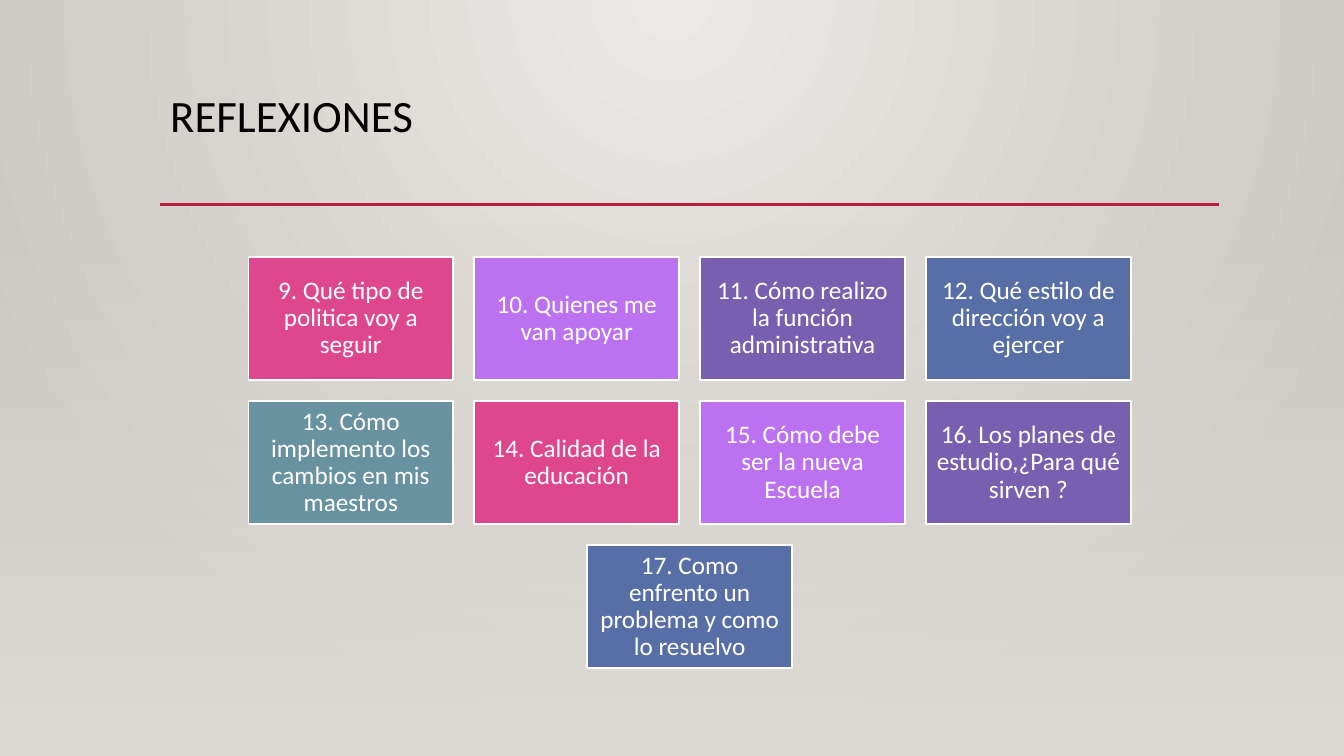
from lxml.etree import SubElement
from pptx import Presentation
from pptx.dml.color import RGBColor
from pptx.enum.shapes import MSO_CONNECTOR, MSO_SHAPE
from pptx.enum.text import MSO_ANCHOR, PP_ALIGN
from pptx.oxml.ns import qn
from pptx.util import Inches, Pt

BLACK = RGBColor(0x00, 0x00, 0x00)
WHITE = RGBColor(0xFF, 0xFF, 0xFF)
CRIMSON = RGBColor(0xB7, 0x1E, 0x42)
LIGHT = RGBColor(0xEC, 0xEA, 0xE7)
SHADE = RGBColor(0xCA, 0xC6, 0xC1)
SAND = RGBColor(0xDF, 0xDB, 0xD5)
CARD_COLOURS = [
    RGBColor(0xDE, 0x47, 0x8E),
    RGBColor(0xBC, 0x72, 0xF0),
    RGBColor(0x79, 0x5F, 0xAF),
    RGBColor(0x58, 0x6E, 0xA6),
    RGBColor(0x68, 0x92, 0xA0),
]
REFLECTIONS = [
    "9. Qué tipo de politica voy a seguir",
    "10. Quienes me van apoyar",
    "11. Cómo realizo la función administrativa",
    "12. Qué estilo de dirección voy a ejercer",
    "13. Cómo implemento los cambios en mis maestros",
    "14. Calidad de la educación",
    "15. Cómo debe ser la nueva Escuela",
    "16. Los planes de estudio,¿Para qué sirven ?",
    "17. Como enfrento un problema y como lo resuelvo",
]
WIDTH, HEIGHT = 13.33, 7.5
LEFT, CONTENT_WIDTH, RULE_TOP = 1.59, 10.5, 2.03
CENTRE = LEFT + CONTENT_WIDTH / 2
COLUMNS, CARD_WIDTH, CARD_HEIGHT, GAP, GRID_TOP = 4, 2.03, 1.22, 0.21, 2.55


def paint_gradient(fill, colours):
    fill.gradient()
    for stop, colour in zip(fill.gradient_stops, colours):
        stop.color.rgb = colour


def write(shape, text, frame_format, para_format, font_format, colour):
    frame = shape.text_frame
    para = frame.paragraphs[0]
    span = para.add_run()
    span.text = text
    span.font.color.rgb = colour
    for target, values in ((frame, frame_format), (para, para_format), (span.font, font_format)):
        for name, value in values.items():
            setattr(target, name, value)


deck = Presentation()
deck.slide_width, deck.slide_height = Inches(WIDTH), Inches(HEIGHT)
page = deck.slides.add_slide(deck.slide_layouts[6])

paint_gradient(page.background.fill, (LIGHT, SHADE))
gradient = page.element.find(".//" + qn("a:gradFill"))
gradient.remove(gradient.find(qn("a:lin")))
circle = SubElement(gradient, qn("a:path"), path="circle")
SubElement(circle, qn("a:fillToRect"), l="50000", t="0", r="50000", b="100000")

veil_top = 2.21
veil = page.shapes.add_shape(
    MSO_SHAPE.RECTANGLE, 0, Inches(veil_top), Inches(WIDTH), Inches(HEIGHT - veil_top)
)
veil.shadow.inherit = False
veil.line.fill.background()
paint_gradient(veil.fill, (SAND, SAND))
veil.fill.gradient_angle = 270
first_colour = veil.element.spPr.find(".//" + qn("a:srgbClr"))
SubElement(first_colour, qn("a:alpha"), val="0")

title = page.shapes.add_textbox(Inches(LEFT), Inches(0.88), Inches(CONTENT_WIDTH), Inches(1.15))
write(
    title,
    "REFLEXIONES",
    {"word_wrap": True, "vertical_anchor": MSO_ANCHOR.TOP},
    {"line_spacing": 0.9},
    {"name": "Calibri", "size": Pt(32)},
    BLACK,
)

rule = page.shapes.add_connector(
    MSO_CONNECTOR.STRAIGHT,
    Inches(LEFT), Inches(RULE_TOP), Inches(LEFT + CONTENT_WIDTH), Inches(RULE_TOP),
)
rule.line.color.rgb = CRIMSON
rule.line.width = Pt(2.5)
SubElement(rule.element.spPr, qn("a:effectLst"))

card_frame = {"word_wrap": True, "vertical_anchor": MSO_ANCHOR.MIDDLE}
for side in ("left", "top", "right", "bottom"):
    card_frame["margin_" + side] = Inches(0.08)
card_para = {"alignment": PP_ALIGN.CENTER, "line_spacing": 0.9, "space_after": Pt(6.3)}
card_font = {"name": "Calibri", "size": Pt(18)}

for index, text in enumerate(REFLECTIONS):
    row, column = divmod(index, COLUMNS)
    cards_in_row = min(COLUMNS, len(REFLECTIONS) - row * COLUMNS)
    row_width = cards_in_row * (CARD_WIDTH + GAP) - GAP
    card = page.shapes.add_shape(
        MSO_SHAPE.RECTANGLE,
        Inches(CENTRE - row_width / 2 + column * (CARD_WIDTH + GAP)),
        Inches(GRID_TOP + row * (CARD_HEIGHT + GAP)),
        Inches(CARD_WIDTH),
        Inches(CARD_HEIGHT),
    )
    card.shadow.inherit = False
    card.fill.solid()
    card.fill.fore_color.rgb = CARD_COLOURS[index % len(CARD_COLOURS)]
    card.line.color.rgb = WHITE
    card.line.width = Pt(1.25)
    write(card, text, card_frame, card_para, card_font, WHITE)

deck.save("out.pptx")
